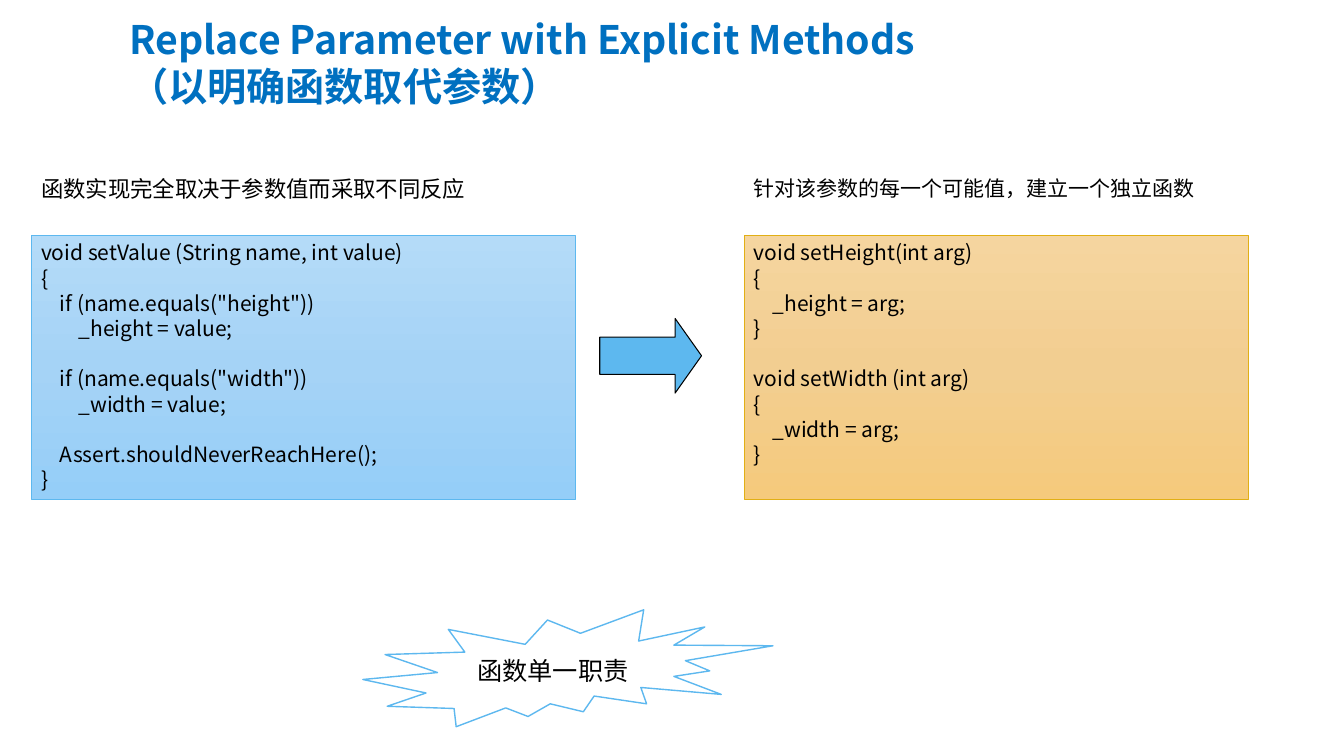
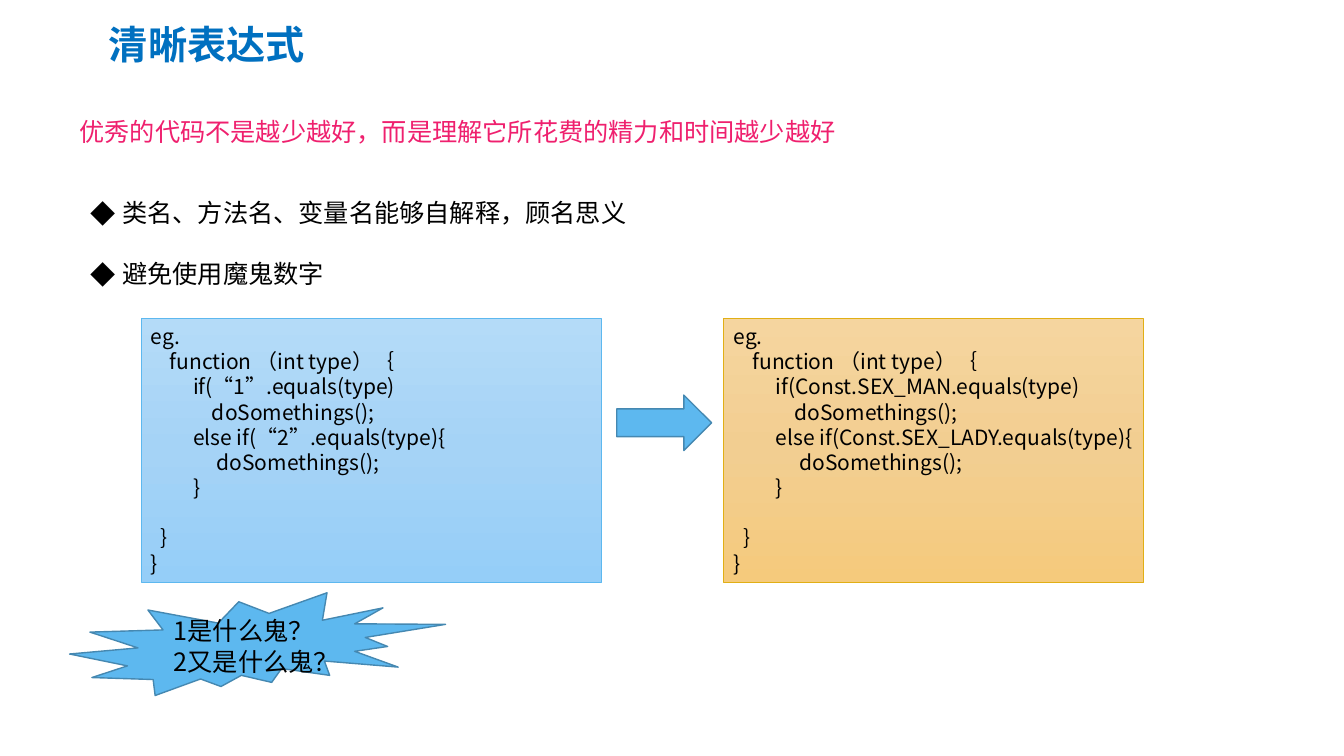
from copy import deepcopy

from lxml.etree import SubElement
from pptx import Presentation
from pptx.dml.color import RGBColor
from pptx.enum.shapes import MSO_SHAPE
from pptx.enum.text import MSO_ANCHOR, MSO_AUTO_SIZE, PP_ALIGN
from pptx.oxml.ns import qn
from pptx.util import Pt

# Shared colours and fonts
TITLE_BLUE = RGBColor(0x00, 0x70, 0xC0)
BLACK = RGBColor(0x00, 0x00, 0x00)
WHITE = RGBColor(0xFF, 0xFF, 0xFF)
PINK = RGBColor(0xEF, 0x20, 0x6E)
SKY = RGBColor(0x5D, 0xB8, 0xEF)
STEEL = RGBColor(0x45, 0x88, 0xB1)
GOLD = RGBColor(0xE1, 0xAF, 0x15)
BEFORE_STOPS = (RGBColor(0xB4, 0xDB, 0xF8), RGBColor(0xA5, 0xD3, 0xF6), RGBColor(0x95, 0xCE, 0xF8))
AFTER_STOPS = (RGBColor(0xF5, 0xD5, 0x9F), RGBColor(0xF2, 0xCE, 0x91), RGBColor(0xF5, 0xCA, 0x7C))
CJK_FONT = "Noto Sans CJK SC"

# Shared measures, in points
CODE_HEIGHT = 188.6
LINE_FACTOR = 1.2
BULLET_INDENT = Pt(22.5)

# Shared text formats
TITLE = {"name": CJK_FONT, "size": Pt(28), "bold": True}
BODY = {"name": CJK_FONT, "size": Pt(18)}
CODE = {"name": CJK_FONT, "size": Pt(15)}
LEAD = {"name": "Arial Narrow", "size": Pt(18)}

SET_VALUE_CODE = """void setValue (String name, int value)
{
    if (name.equals("height"))
        _height = value;

    if (name.equals("width"))
        _width = value;

    Assert.shouldNeverReachHere();
}"""

SETTERS_CODE = """void setHeight(int arg)
{
    _height = arg;
}

void setWidth (int arg)
{
    _width = arg;
}"""

TYPE_CHECK_CODE = """eg.
    function （int type）｛
         if({first}.equals(type)
             doSomethings();
         else if({second}.equals(type){{
              doSomethings();
         }}

  ｝
}}"""


def apply_format(target, values):
    for name, value in values.items():
        setattr(target, name, value)


def place(shape, box):
    apply_format(shape, dict(zip(("left", "top", "width", "height"), map(Pt, box))))


def add_bullet(paragraph):
    properties = paragraph._p.get_or_add_pPr()
    properties.set("marL", str(BULLET_INDENT))
    properties.set("indent", str(-BULLET_INDENT))
    SubElement(properties, qn("a:buFont")).set("typeface", CJK_FONT)
    SubElement(properties, qn("a:buChar")).set("char", "◆")


def write(frame, text, style, color=BLACK, align=PP_ALIGN.LEFT,
          anchor=MSO_ANCHOR.TOP, bulleted=False):
    """Write one paragraph per line; an empty line becomes space before the next."""
    apply_format(frame, {"word_wrap": True, "auto_size": MSO_AUTO_SIZE.NONE,
                         "vertical_anchor": anchor})
    line_height = Pt(style["size"].pt * LINE_FACTOR)
    gap = Pt(0)
    paragraph = None
    for line in text.split("\n"):
        if not line:
            gap = line_height
            continue
        paragraph = frame.add_paragraph() if paragraph else frame.paragraphs[0]
        if bulleted:
            add_bullet(paragraph)
        apply_format(paragraph, {"alignment": align, "line_spacing": line_height,
                                 "space_before": gap, "space_after": Pt(0)})
        gap = Pt(0)
        run = paragraph.add_run()
        run.text = line
        apply_format(run.font, style)
        run.font.color.rgb = color
        SubElement(run.font._element, qn("a:ea")).set("typeface", CJK_FONT)


def add_title(slide, box, text):
    title = slide.shapes.title
    place(title, box)
    write(title.text_frame, text, TITLE, TITLE_BLUE, anchor=MSO_ANCHOR.MIDDLE)


def add_list(slide, box, text):
    body = slide.placeholders[1]
    place(body, box)
    write(body.text_frame, text, BODY, bulleted=True)


def add_note(slide, box, text, style, color=BLACK):
    write(slide.shapes.add_textbox(*map(Pt, box)).text_frame, text, style, color)


def add_outlined(slide, preset, box, line_color, line_width, fill_color=None):
    shape = slide.shapes.add_shape(preset, *map(Pt, box))
    shape.shadow.inherit = False
    shape.line.color.rgb = line_color
    shape.line.width = Pt(line_width)
    if fill_color is not None:
        shape.fill.solid()
        shape.fill.fore_color.rgb = fill_color
    return shape


def add_code(slide, left, top, width, code, stops, line_color):
    panel = add_outlined(slide, MSO_SHAPE.RECTANGLE, (left, top, width, CODE_HEIGHT),
                         line_color, 0.5)
    panel.fill.gradient()
    panel.fill.gradient_angle = 270
    # The new gradient has two stops; the middle one is added
    stop_list = panel.element.spPr.find(".//" + qn("a:gsLst"))
    stop_list.insert(1, deepcopy(stop_list[0]))
    for index, (stop, color) in enumerate(zip(panel.fill.gradient_stops, stops)):
        stop.position = index / 2
        stop.color.rgb = color
    panel.text_frame.margin_right = Pt(0)
    write(panel.text_frame, code, CODE)


def add_comparison(slide, top, before, after):
    add_code(slide, *before[:1], top, *before[1:], BEFORE_STOPS, SKY)
    add_code(slide, *after[:1], top, *after[1:], AFTER_STOPS, GOLD)


def add_arrow(slide, box, line_color, line_width, head=0.5):
    arrow = add_outlined(slide, MSO_SHAPE.RIGHT_ARROW, box, line_color, line_width, SKY)
    arrow.adjustments[1] = head


def add_burst(slide, box, text, fill_color, line_color):
    burst = add_outlined(slide, MSO_SHAPE.EXPLOSION2, box, line_color, 1, fill_color)
    write(burst.text_frame, text, BODY, align=PP_ALIGN.CENTER, anchor=MSO_ANCHOR.MIDDLE)


def build_explicit_methods(deck):
    slide = deck.slides.add_slide(deck.slide_layouts[5])
    add_title(slide, (85, 7.2, 729.4, 74.9),
              "Replace Parameter with Explicit Methods\n（以明确函数取代参数）")
    captions = ((22.3, 16, "函数实现完全取决于参数值而采取不同反应"),
                (531.4, 15, "针对该参数的每一个可能值，建立一个独立函数"))
    for left, size, caption in captions:
        add_note(slide, (left, 121.7, 347, 26), caption, {"name": "Arial", "size": Pt(size)})
    add_comparison(slide, 167.8, (22.3, 388.8, SET_VALUE_CODE), (531.4, 360, SETTERS_CODE))
    add_arrow(slide, (428.4, 227.5, 72.7, 53.3), BLACK, 0.75, head=0.354)
    add_burst(slide, (259.2, 435.6, 293, 83.5), "函数单一职责", WHITE, SKY)


def build_clear_expressions(deck):
    slide = deck.slides.add_slide(deck.slide_layouts[1])
    add_title(slide, (70.6, 10.8, 729.4, 41), "清晰表达式")
    add_note(slide, (49.7, 79.9, 653.8, 28.8),
             "优秀的代码不是越少越好，而是理解它所花费的精力和时间越少越好", LEAD, PINK)
    add_list(slide, (57.6, 137.5, 546.5, 72.7),
             "类名、方法名、变量名能够自解释，顾名思义\n\n避免使用魔鬼数字")
    magic_code = TYPE_CHECK_CODE.format(first="“1”", second="“2”")
    named_code = TYPE_CHECK_CODE.format(first="Const.SEX_MAN", second="Const.SEX_LADY")
    add_comparison(slide, 227.5, (100.8, 329, magic_code), (517, 299.5, named_code))
    add_arrow(slide, (440.6, 282.2, 67.7, 39.6), STEEL, 1)
    add_burst(slide, (49.7, 423.4, 268.6, 73.4), "1是什么鬼？2又是什么鬼？", SKY, STEEL)


def main():
    deck = Presentation()
    apply_format(deck, {"slide_width": Pt(960), "slide_height": Pt(540)})
    build_explicit_methods(deck)
    build_clear_expressions(deck)
    deck.save("out.pptx")


if __name__ == "__main__":
    main()
